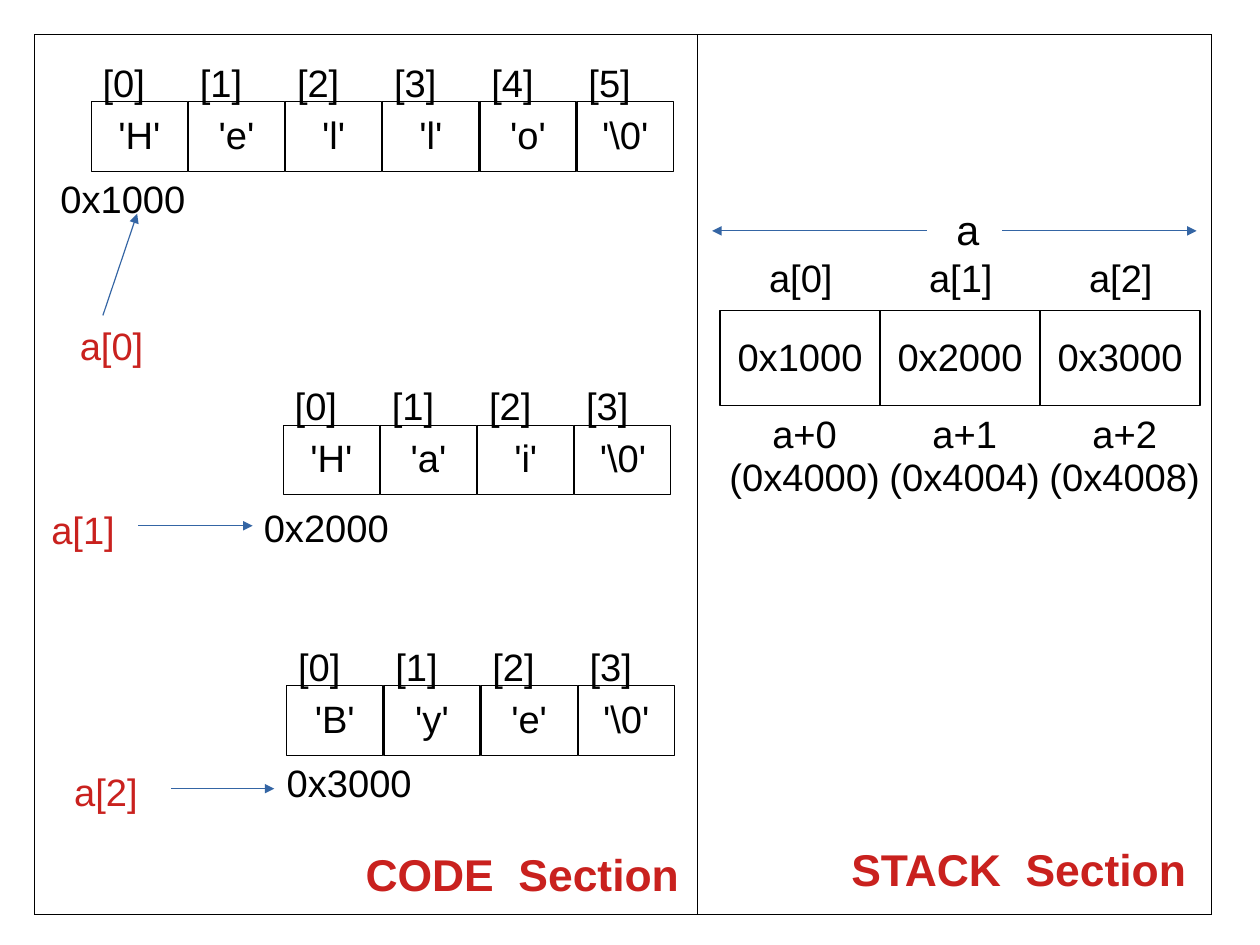
from lxml.etree import SubElement
from pptx import Presentation
from pptx.dml.color import RGBColor
from pptx.enum.shapes import MSO_CONNECTOR, MSO_SHAPE
from pptx.enum.text import MSO_ANCHOR, PP_ALIGN
from pptx.oxml.ns import qn
from pptx.util import Cm, Inches, Pt

COLORS = {"ink": "000000", "paper": "FFFFFF", "accent": "C9211E", "arrow": "3465A4"}
BODY = {"name": "Arial", "size": Pt(24), "bold": False}
ARRAY_NAME = BODY | {"size": Pt(26)}
SECTION = BODY | {"size": Pt(28), "bold": True}
WORD_GAP = "780"  # hundredths of a point

FRAME_LEFT, FRAME_TOP, FRAME_RIGHT, FRAME_BOTTOM = 0.3, 0.3, 10.6, 8
DIVIDER = 6.1

CHAR_PITCH, CHAR_WIDTH, CHAR_HEIGHT = 0.85, 0.84, 0.61
LABEL_WIDTH, LABEL_HEIGHT = 0.75, 0.39
ADDRESS_WIDTH, ADDRESS_HEIGHT = 1.29, 0.47
POINTER_LEFT, POINTER_TOP, POINTER_WIDTH, POINTER_HEIGHT = 6.3, 2.72, 1.4, 0.83

# characters, first cell, address, address place, pointer name place, arrow
STRINGS = [
    (["H", "e", "l", "l", "o", r"\0"], (0.8, 0.89), "0x1000", (0.43, 1.52),
     (0.6, 2.8), ((0.9, 2.76), (1.2, 1.87))),
    (["H", "a", "i", r"\0"], (2.48, 3.72), "0x2000", (2.21, 4.4),
     (0.35, 4.41), ((1.21, 4.6), (2.21, 4.6))),
    (["B", "y", "e", r"\0"], (2.51, 6), "0x3000", (2.41, 6.63),
     (0.55, 6.71), ((1.5, 6.9), (2.4, 6.9))),
]


def rgb(color):
    return RGBColor.from_string(COLORS[color])


def write(frame, text, color="ink", style=BODY, align=PP_ALIGN.LEFT):
    frame.word_wrap = True
    frame.text = text
    for paragraph in frame.paragraphs:
        paragraph.alignment = align
        paragraph.line_spacing = 0.94
        for run in paragraph.runs:
            format_run(run, color, style)


def format_run(run, color, style):
    run.font.color.rgb = rgb(color)
    for attribute, value in style.items():
        setattr(run.font, attribute, value)


def add_label(slide, text, left, top, width=LABEL_WIDTH, height=LABEL_HEIGHT, **look):
    frame = slide.shapes.add_textbox(
        Inches(left), Inches(top), Inches(width), Inches(height)).text_frame
    frame.margin_right = 0
    write(frame, text, **look)
    return frame


def add_section_name(slide, name, left, top, width):
    """Write the name and the word Section with a widened space between them."""
    frame = add_label(slide, name, left, top, width, 0.54, color="accent", style=SECTION)
    gap, word = (frame.paragraphs[0].add_run() for _ in range(2))
    gap.text, word.text = " ", "Section"
    for run in (gap, word):
        format_run(run, "accent", SECTION)
    gap._r.get_or_add_rPr().set("spc", WORD_GAP)


def add_cell(slide, text, left, top, width, height):
    cell = slide.shapes.add_shape(
        MSO_SHAPE.RECTANGLE, Inches(left), Inches(top), Inches(width), Inches(height))
    cell.shadow.inherit = False
    cell.fill.solid()
    cell.fill.fore_color.rgb = rgb("paper")
    cell.line.color.rgb = rgb("ink")
    cell.line.width = Pt(0.75)
    cell.text_frame.vertical_anchor = MSO_ANCHOR.MIDDLE
    write(cell.text_frame, text, align=PP_ALIGN.CENTER)


def add_line(slide, start, end, color="ink"):
    line = slide.shapes.add_connector(
        MSO_CONNECTOR.STRAIGHT, *(Inches(length) for length in (*start, *end)))
    line.line.color.rgb = rgb(color)
    line.line.width = Pt(0.75)
    SubElement(line._element.spPr, qn("a:effectLst"))
    return line


def add_arrow(slide, start, end):
    arrow = add_line(slide, start, end, "arrow")
    SubElement(arrow.line._get_or_add_ln(), qn("a:tailEnd"), type="triangle")


def add_string(slide, characters, left, top):
    """Draw one row of character cells with an index above each."""
    for index, character in enumerate(characters):
        x = left + index * CHAR_PITCH
        add_cell(slide, f"'{character}'", x, top, CHAR_WIDTH, CHAR_HEIGHT)
        add_label(slide, f"[{index}]", x, top - LABEL_HEIGHT, CHAR_PITCH)


def add_pointer(slide, index, address):
    """Draw one element of the pointer array with its name and own address."""
    left = POINTER_LEFT + index * POINTER_WIDTH
    add_cell(slide, address, left, POINTER_TOP, POINTER_WIDTH, POINTER_HEIGHT)
    add_label(slide, f"a[{index}]", left + 0.33, POINTER_TOP - 0.51)
    offset = add_label(slide, f"a+{index}\n(0x400{4 * index})", left + 0.04,
                       POINTER_TOP + 0.85, POINTER_WIDTH, 1.02,
                       align=PP_ALIGN.CENTER)
    offset.margin_left = 0


def add_frame(slide):
    for x in (FRAME_LEFT, DIVIDER, FRAME_RIGHT):
        add_line(slide, (x, FRAME_TOP), (x, FRAME_BOTTOM))
    for y in (FRAME_TOP, FRAME_BOTTOM):
        add_line(slide, (FRAME_LEFT, y), (FRAME_RIGHT, y))


def main():
    deck = Presentation()
    deck.slide_width = Cm(28)
    deck.slide_height = Cm(21)
    slide = deck.slides.add_slide(deck.slide_layouts[6])

    for index, (characters, cell, address, address_at, name_at, arrow) in enumerate(STRINGS):
        add_string(slide, characters, *cell)
        add_label(slide, address, *address_at, ADDRESS_WIDTH, ADDRESS_HEIGHT)
        add_label(slide, f"a[{index}]", *name_at, color="accent")
        add_arrow(slide, *arrow)
        add_pointer(slide, index, address)

    add_label(slide, "a", 8.27, 1.77, 0.4, 0.42, style=ARRAY_NAME)
    add_arrow(slide, (8.11, 2.02), (6.23, 2.02))
    add_arrow(slide, (8.77, 2.02), (10.47, 2.02))

    add_frame(slide)
    add_section_name(slide, "CODE", 3.1, 7.4, 2.94)
    add_section_name(slide, "STACK", 7.35, 7.36, 3.15)

    deck.save("out.pptx")


if __name__ == "__main__":
    main()
